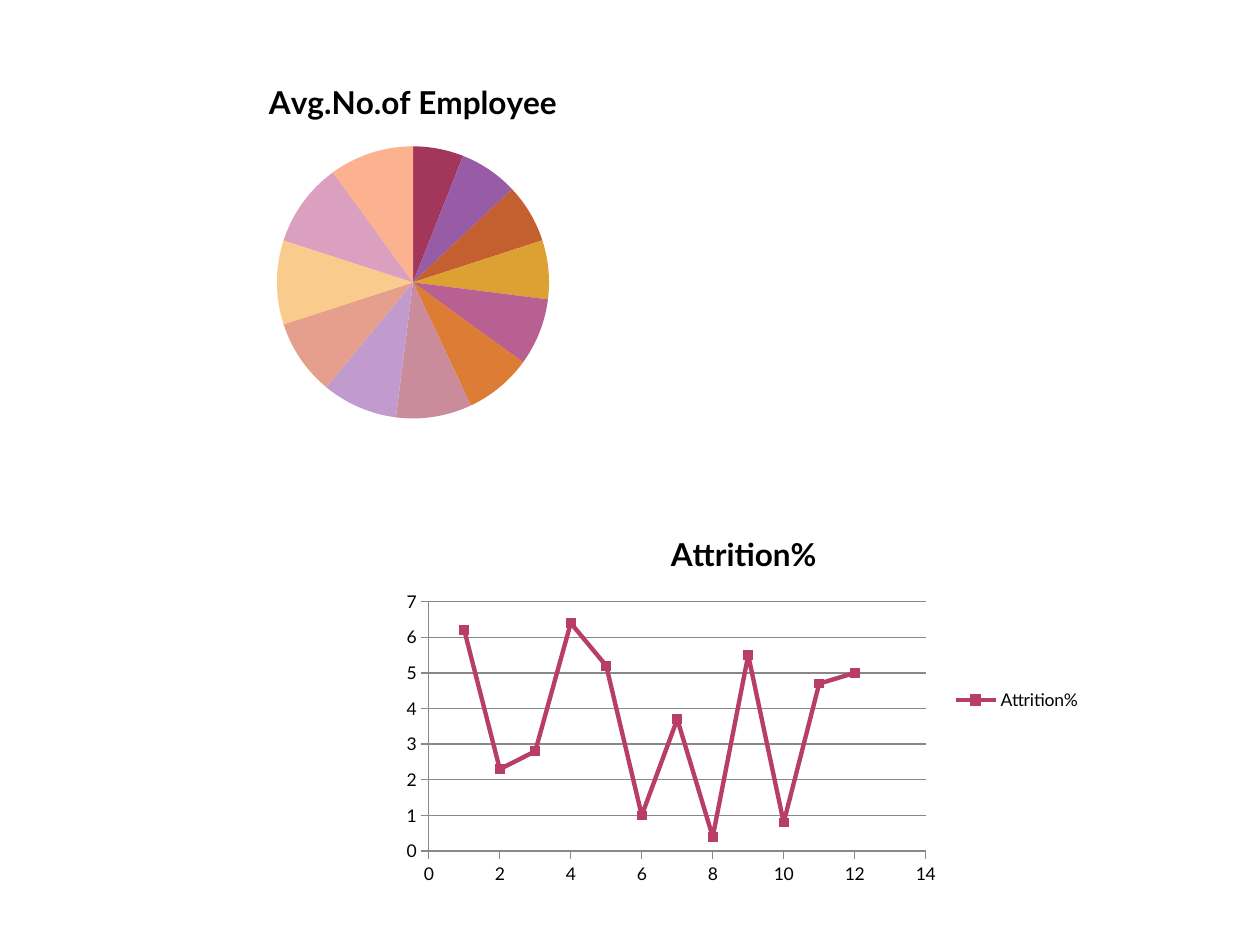
"""Build a slide with an attrition scatter chart and an employee pie chart."""
from lxml import etree
from pptx import Presentation
from pptx.chart.data import CategoryChartData, XyChartData
from pptx.dml.color import RGBColor
from pptx.enum import chart as ch
from pptx.oxml.ns import qn
from pptx.util import Pt

BLACK = RGBColor(0x00, 0x00, 0x00)
GRAY = RGBColor(0x88, 0x88, 0x88)
BERRY = RGBColor(0xB8, 0x3D, 0x68)
SLICES = [RGBColor.from_string(c) for c in (
    "A2365B", "985BA5", "C45F2F", "DCA132", "B76091", "DD7C35",
    "CA8C9B", "C29BCE", "E69F8C", "F9CB8D", "DB9FBF", "FCB18F")]
MONTHS = range(1, 13)
ATTRITION = [6.2, 2.3, 2.8, 6.4, 5.2, 1, 3.7, 0.4, 5.5, 0.8, 4.7, 5]
EMPLOYEES = [6, 7, 7, 7, 8, 8, 9, 9, 9, 10, 10, 10]


def style_chart(chart, title):
    chart.font.name = "Lato"
    chart.font.size = Pt(10)
    chart.font.color.rgb = BLACK
    chart.has_title = True
    p = chart.chart_title.text_frame.paragraphs[0]
    p.text = title
    p.font.name = "Lato"
    p.font.size = Pt(18)
    p.font.bold = True
    p.font.color.rgb = BLACK
    chart.chart_title.include_in_layout = False


def place_plot(chart, x, y, w, h):
    area = chart.plots[0]._element.getparent()
    for old in area.findall(qn("c:layout")):
        area.remove(old)
    layout = etree.Element(qn("c:layout"))
    area.insert(0, layout)
    manual = etree.SubElement(layout, qn("c:manualLayout"))
    for tag, val in (("layoutTarget", "inner"), ("xMode", "edge"), ("yMode", "edge"),
                     ("x", x), ("y", y), ("w", w), ("h", h)):
        etree.SubElement(manual, qn(f"c:{tag}")).set("val", str(val))


prs = Presentation()
prs.slide_width, prs.slide_height = Pt(720), Pt(540)
s = prs.slides.add_slide(prs.slide_layouts[6])

data = XyChartData()
points = data.add_series("Attrition%")
for month, rate in zip(MONTHS, ATTRITION):
    points.add_data_point(month, rate)
scatter = s.shapes.add_chart(ch.XL_CHART_TYPE.XY_SCATTER_SMOOTH,
                             Pt(225), Pt(292), Pt(400), Pt(216), data).chart
style_chart(scatter, "Attrition%")
place_plot(scatter, 0.05, 0.24, 0.71, 0.66)
scatter.has_legend = True
scatter.legend.position = ch.XL_LEGEND_POSITION.RIGHT
scatter.legend.include_in_layout = False
for axis, top, step in ((scatter.category_axis, 14, 2), (scatter.value_axis, 7, 1)):
    axis.minimum_scale, axis.maximum_scale, axis.major_unit = 0, top, step
    axis.major_tick_mark = ch.XL_TICK_MARK.OUTSIDE
    axis.minor_tick_mark = ch.XL_TICK_MARK.NONE
    axis.format.line.color.rgb = GRAY
    axis.format.line.width = Pt(0.75)
    axis.tick_labels.number_format = "General"
    axis.tick_labels.number_format_is_linked = False
scatter.category_axis.has_major_gridlines = False
scatter.value_axis.has_major_gridlines = True
grid = scatter.value_axis.major_gridlines.format.line
grid.color.rgb = GRAY
grid.width = Pt(0.75)
scatter.plots[0].vary_by_categories = False
line = scatter.plots[0].series[0]
line.smooth = True
line.format.line.color.rgb = BERRY
line.format.line.width = Pt(2.5)
line.marker.style = ch.XL_MARKER_STYLE.SQUARE
line.marker.size = 5
line.marker.format.fill.solid()
line.marker.format.fill.fore_color.rgb = BERRY
line.marker.format.line.color.rgb = BERRY

data = CategoryChartData()
data.categories = [str(m) for m in MONTHS]
data.add_series("Avg.No.of Employee", EMPLOYEES)
pie = s.shapes.add_chart(ch.XL_CHART_TYPE.PIE,
                         Pt(56), Pt(34), Pt(360), Pt(216), data).chart
style_chart(pie, "Avg.No.of Employee")
place_plot(pie, 0.28, 0.23, 0.44, 0.72)
pie.has_legend = False
pie.plots[0].vary_by_categories = True
for i, color in enumerate(SLICES):
    fmt = pie.plots[0].series[0].points[i].format
    fmt.fill.solid()
    fmt.fill.fore_color.rgb = color
    fmt.line.fill.background()

prs.save("out.pptx")
